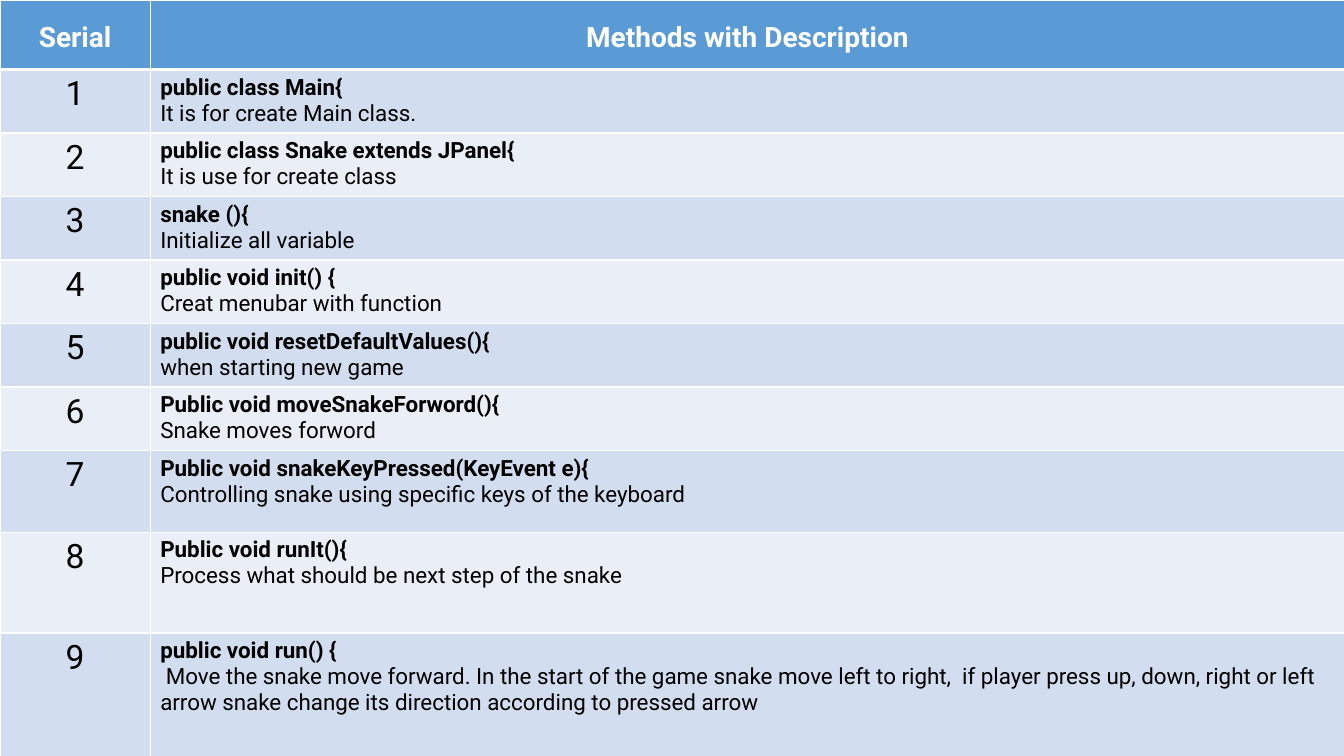
from lxml import etree
from pptx import Presentation
from pptx import util as u
from pptx.dml.color import RGBColor
from pptx.enum import text
from pptx.oxml.ns import qn

HEADER_BLUE = RGBColor(0x5B, 0x9B, 0xD5)
BAND_DARK = RGBColor(0xD2, 0xDE, 0xEF)
BAND_LIGHT = RGBColor(0xEA, 0xEF, 0xF7)
WHITE = RGBColor(0xFF, 0xFF, 0xFF)
BLACK = RGBColor(0x00, 0x00, 0x00)
FONT = "Roboto"

HEADINGS = ["Serial", "Methods with Description"]
METHODS = [
    ("public class Main{", "It is for create Main class."),
    ("public class Snake extends JPanel{", "It is use for create class"),
    ("snake (){", "Initialize all variable"),
    ("public void init() {", "Creat menubar with function"),
    ("public void resetDefaultValues(){", "when starting new game"),
    ("Public void moveSnakeForword(){", "Snake moves forword"),
    ("Public void snakeKeyPressed(KeyEvent e){",
     "Controlling snake using specific keys of the keyboard"),
    ("Public void runIt(){", "Process what should be next step of the snake"),
    ("public void run() {",
     " Move the snake move forward. In the start of the game snake move left to right,  "
     "if player press up, down, right or left arrow snake change its direction "
     "according to pressed arrow"),
]
SERIAL_WIDTH = 1.49
ROW_HEIGHTS = [0.69] + [0.63] * 6 + [0.81, 1, 1.44]


def set_borders(cell, top=1, bottom=1):
    """Draw white borders, with widths in points."""
    properties = cell._tc.get_or_add_tcPr()
    sides = {"a:lnL": 1, "a:lnR": 1, "a:lnT": top, "a:lnB": bottom}
    for position, (tag, points) in enumerate(sides.items()):
        line = etree.Element(qn(tag), w=str(u.Pt(points)))
        fill = etree.SubElement(line, qn("a:solidFill"))
        etree.SubElement(fill, qn("a:srgbClr"), val=str(WHITE))
        properties.insert(position, line)


def fill_cell(cell, fill, lines, color, align, spacing=None):
    """Write (wording, size, bold) lines, one paragraph each."""
    cell.fill.solid()
    cell.fill.fore_color.rgb = fill
    cell.text = "\n".join(wording for wording, _, _ in lines)
    for paragraph, (_, size, bold) in zip(cell.text_frame.paragraphs, lines):
        paragraph.alignment = align
        paragraph.line_spacing = spacing
        paragraph.font.name = FONT
        paragraph.font.size = u.Pt(size)
        paragraph.font.bold = bold
        paragraph.font.color.rgb = color


def add_methods_table(slide, left, top, width):
    table = slide.shapes.add_table(
        len(METHODS) + 1, len(HEADINGS), u.Inches(left), u.Inches(top),
        u.Inches(width), u.Inches(sum(ROW_HEIGHTS))).table
    table.columns[0].width = u.Inches(SERIAL_WIDTH)
    table.columns[1].width = u.Inches(width - SERIAL_WIDTH)
    for row, height in zip(table.rows, ROW_HEIGHTS):
        row.height = u.Inches(height)

    # Header row
    center, left_align = text.PP_ALIGN.CENTER, text.PP_ALIGN.LEFT
    for column, heading in enumerate(HEADINGS):
        cell = table.cell(0, column)
        fill_cell(cell, HEADER_BLUE, [(heading, 20, True)], WHITE, center, 1.5)
        set_borders(cell, bottom=3)

    # Banded method rows
    for serial, (signature, description) in enumerate(METHODS, start=1):
        band = BAND_DARK if serial % 2 else BAND_LIGHT
        number_cell, method_cell = table.cell(serial, 0), table.cell(serial, 1)
        fill_cell(number_cell, band, [(str(serial), 24, False)], BLACK, center)
        fill_cell(method_cell, band,
                  [(signature, 16, True), (description, 16, False)], BLACK, left_align)
        for cell in (number_cell, method_cell):
            set_borders(cell, top=3 if serial == 1 else 1)


def main():
    deck = Presentation()
    deck.slide_width, deck.slide_height = u.Inches(13.33), u.Inches(7.5)
    slide = deck.slides.add_slide(deck.slide_layouts[6])
    add_methods_table(slide, 0, 0, 13.34)
    deck.save("out.pptx")


if __name__ == "__main__":
    main()
